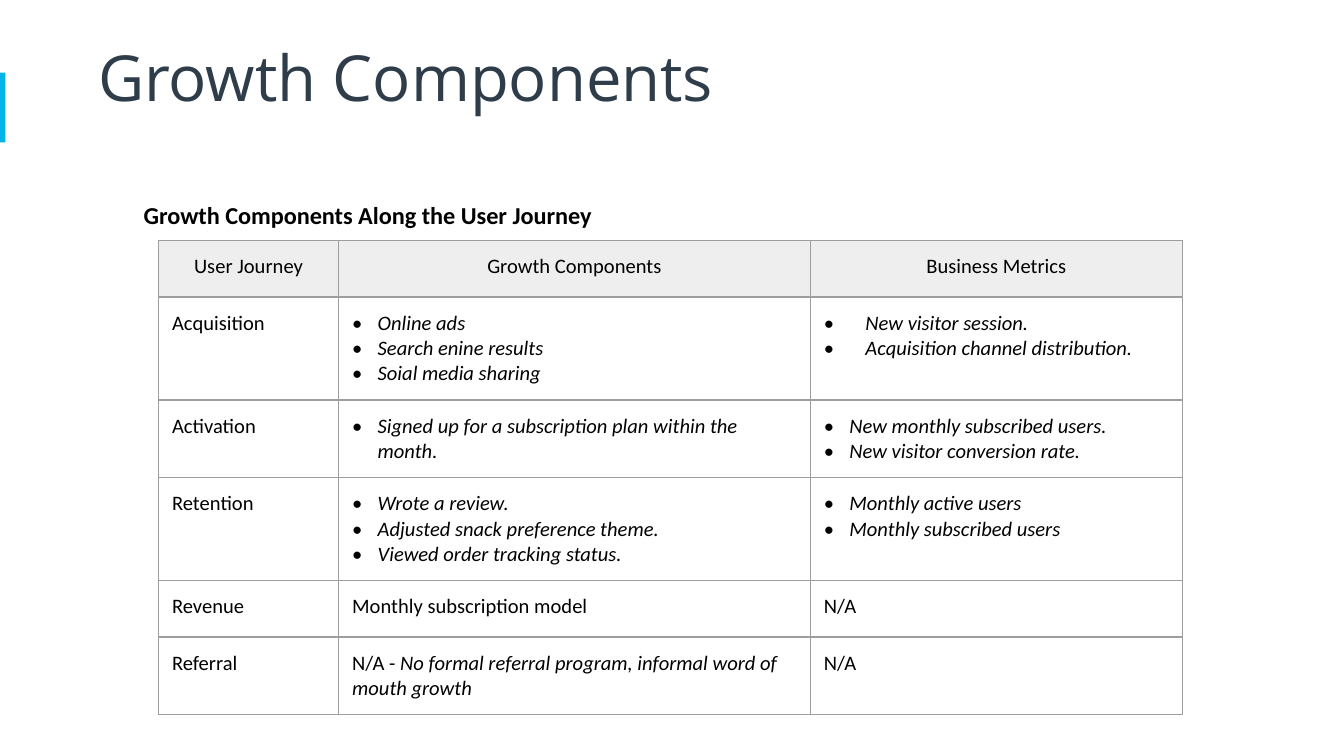
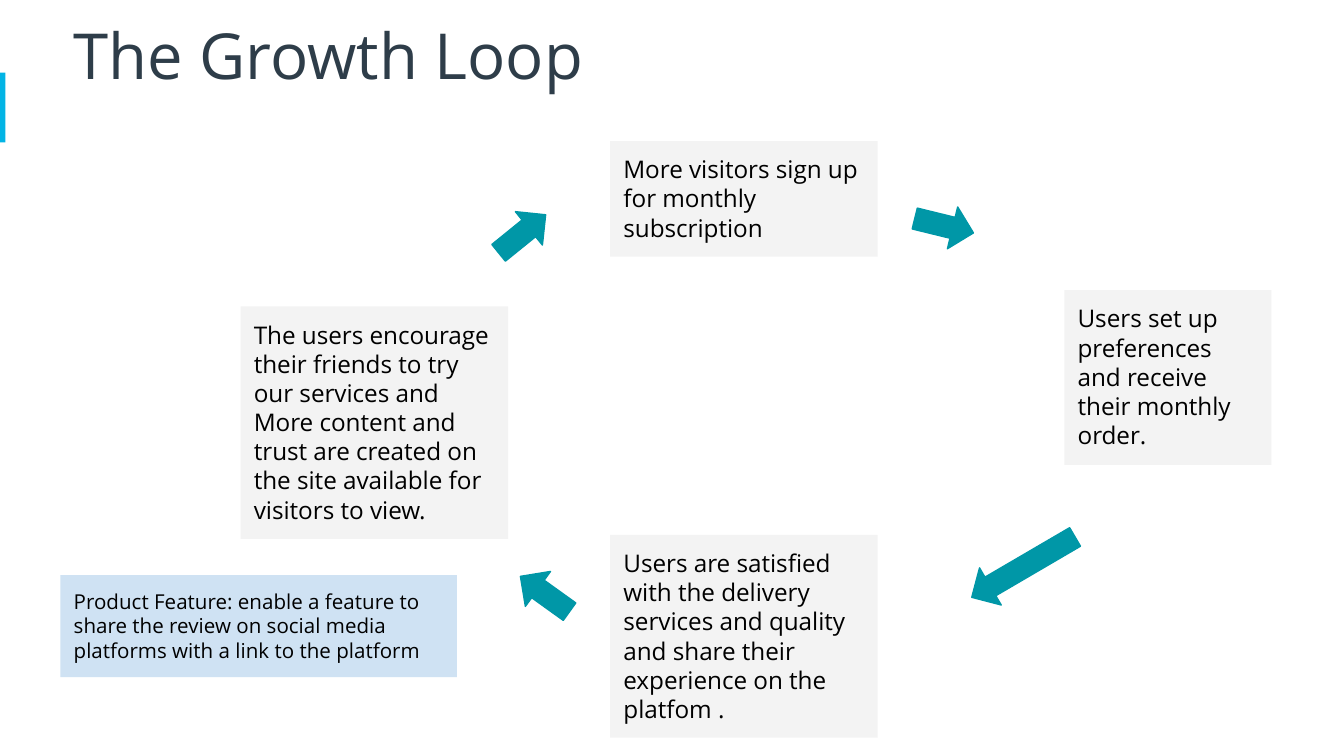
"""Builds two slides on growth: a user-journey table and a growth loop."""
from dataclasses import dataclass

from lxml import etree
from pptx import Presentation
from pptx import util as u
from pptx.dml.color import RGBColor
from pptx.enum import shapes, text
from pptx.oxml import ns


@dataclass(frozen=True)
class Theme:
    accent: str = "02B4E5"
    heading: str = "2E3D49"
    ink: str = "000000"
    arrow: str = "0097A7"
    step: str = "F3F3F3"
    feature: str = "CFE2F3"
    header: str = "EEEEEE"
    grid: str = "9E9E9E"
    sans: str = "Open Sans"
    table: str = "Calibri"
    title_size: int = 34
    body_size: int = 13
    small_size: int = 11
    inset: float = 0.1
    border: float = 0.75


@dataclass(frozen=True)
class Bullets:
    items: tuple
    indent: float = 0.19


THEME = Theme()
WIDTH = 10
HEIGHT = WIDTH * 9 / 16
TITLE_SIZE = (8.68, 0.63)
BAND = (0, 0.54, 0.04, 0.52)

SUBTITLE = "Growth Components Along the User Journey"
SUBTITLE_AREA = (0.97, 1.36, 7.62, 0.5)
TABLE_ORIGIN = (1.18, 1.79)
COLUMNS = (1.34, 3.51, 2.77)
ROW_HEIGHT = 0.42
HEADINGS = ("User Journey", "Growth Components", "Business Metrics")
JOURNEY = (
    ("Acquisition",
     Bullets(("Online ads", "Search enine results", "Soial media sharing")),
     Bullets(("New visitor session.", "Acquisition channel distribution."), 0.31)),
    ("Activation",
     Bullets(("Signed up for a subscription plan within the month.",)),
     Bullets(("New monthly subscribed users.", "New visitor conversion rate."))),
    ("Retention",
     Bullets(("Wrote a review.", "Adjusted snack preference theme.",
              "Viewed order tracking status.")),
     Bullets(("Monthly active users", "Monthly subscribed users"))),
    ("Revenue", "Monthly subscription model", "N/A"),
    ("Referral",
     ("N/A -", " No formal referral program, informal word of mouth growth"),
     "N/A"),
)

STEPS = (
    ("More visitors sign up for monthly subscription", (4.54, 1.05, 1.99, 0.86)),
    ("Users set up preferences and receive their monthly order.",
     (7.92, 2.16, 1.54, 1.3)),
    ("Users are satisfied with the delivery services and quality and share "
     "their experience on the platfom .", (4.54, 3.98, 1.99, 1.51)),
    ("The users encourage their friends to try our services and More content "
     "and trust are created on the site available for visitors to view.",
     (1.79, 2.28, 1.99, 1.73)),
)
FEATURE = ("Product Feature: enable a feature to share the review on social "
           "media platforms with a link to the platform", (0.45, 4.28, 2.95, 0.76))
ARROW_HEIGHT = 0.32
ARROWS = (
    (6.8, 1.52, 0.45, 13.8),
    (7.17, 4.06, 0.89, 149.7),
    (3.83, 4.26, 0.45, 215.7),
    (3.66, 1.58, 0.45, 321),
)


def inches(values):
    return [u.Inches(value) for value in values]


def style(span, size, font=THEME.sans, color=THEME.ink, bold=False, italic=False):
    span.font.size = u.Pt(size)
    span.font.name = font
    span.font.bold = bold
    span.font.italic = italic
    span.font.color.rgb = RGBColor.from_string(color)


def set_insets(holder):
    holder.margin_left = holder.margin_right = u.Inches(THEME.inset)
    holder.margin_top = holder.margin_bottom = u.Inches(THEME.inset)


def write(box, words, size, anchor=text.MSO_ANCHOR.TOP, **look):
    frame = box.text_frame
    frame.text = words
    frame.word_wrap = True
    frame.auto_size = text.MSO_AUTO_SIZE.NONE
    frame.vertical_anchor = anchor
    set_insets(frame)
    para = frame.paragraphs[0]
    para.alignment = text.PP_ALIGN.LEFT
    style(para.runs[0], size, **look)
    return para


def add_block(page, kind, area, color):
    block = page.shapes.add_shape(kind, *inches(area))
    block.shadow.inherit = False
    block.fill.solid()
    block.fill.fore_color.rgb = RGBColor.from_string(color)
    block.line.fill.background()
    return block


def add_page(deck, title, left, top):
    page = deck.slides.add_slide(deck.slide_layouts[5])
    add_block(page, shapes.MSO_SHAPE.RECTANGLE, BAND, THEME.accent)
    box = page.shapes.title
    box.left, box.top, box.width, box.height = inches((left, top, *TITLE_SIZE))
    write(box, title, THEME.title_size, text.MSO_ANCHOR.MIDDLE, color=THEME.heading)
    return page


def add_color(parent, tag, color):
    holder = etree.SubElement(parent, ns.qn(tag))
    etree.SubElement(holder, ns.qn("a:srgbClr"), val=color)


def set_bullet(para, indent):
    props = para._p.get_or_add_pPr()
    props.set("marL", str(u.Inches(indent)))
    props.set("indent", str(-u.Inches(indent)))
    add_color(props, "a:buClr", THEME.ink)
    etree.SubElement(props, ns.qn("a:buFont"), typeface=THEME.table)
    etree.SubElement(props, ns.qn("a:buChar"), char="•")


def set_borders(cell):
    props = cell._tc.get_or_add_tcPr()
    for side in ("a:lnL", "a:lnR", "a:lnT", "a:lnB"):
        line = etree.SubElement(props, ns.qn(side), w=str(u.Pt(THEME.border)))
        add_color(line, "a:solidFill", THEME.grid)


def fill_cell(cell, content, is_header):
    set_insets(cell)
    set_borders(cell)
    if is_header:
        cell.fill.solid()
        cell.fill.fore_color.rgb = RGBColor.from_string(THEME.header)
    else:
        cell.fill.background()
    bulleted = isinstance(content, Bullets)
    if bulleted:
        cell.text_frame.text = "\n".join(content.items)
    elif isinstance(content, tuple):
        for part in content:
            cell.text_frame.paragraphs[0].add_run().text = part
    else:
        cell.text_frame.text = content
    for para in cell.text_frame.paragraphs:
        para.alignment = text.PP_ALIGN.CENTER if is_header else text.PP_ALIGN.LEFT
        if bulleted:
            set_bullet(para, content.indent)
        for index, span in enumerate(para.runs):
            style(span, THEME.small_size, THEME.table, italic=bulleted or index > 0)


def build_components(deck):
    page = add_page(deck, "Growth Components", 0.63, 0.25)
    box = page.shapes.add_textbox(*inches(SUBTITLE_AREA))
    para = write(box, SUBTITLE, THEME.body_size, font=THEME.table, bold=True)
    para.line_spacing = 1.15
    para.space_after = u.Pt(16)
    rows = (HEADINGS, *JOURNEY)
    area = (*TABLE_ORIGIN, sum(COLUMNS), ROW_HEIGHT * len(rows))
    table = page.shapes.add_table(len(rows), len(COLUMNS), *inches(area)).table
    table.first_row = table.horz_banding = False
    for column, width in zip(table.columns, COLUMNS):
        column.width = u.Inches(width)
    for row, contents in enumerate(rows):
        for column, content in enumerate(contents):
            fill_cell(table.cell(row, column), content, row == 0)


def build_loop(deck):
    page = add_page(deck, "The Growth Loop", 0.45, 0.09)
    for words, area in STEPS:
        box = add_block(page, shapes.MSO_SHAPE.RECTANGLE, area, THEME.step)
        write(box, words, THEME.body_size)
    for left, top, width, angle in ARROWS:
        area = (left, top, width, ARROW_HEIGHT)
        arrow = add_block(page, shapes.MSO_SHAPE.RIGHT_ARROW, area, THEME.arrow)
        arrow.rotation = angle
        arrow.line.color.rgb = RGBColor.from_string(THEME.arrow)
        arrow.line.width = u.Pt(THEME.border)
    words, area = FEATURE
    box = add_block(page, shapes.MSO_SHAPE.RECTANGLE, area, THEME.feature)
    write(box, words, THEME.small_size)


def main():
    deck = Presentation()
    deck.slide_width, deck.slide_height = inches((WIDTH, HEIGHT))
    build_components(deck)
    build_loop(deck)
    deck.save("out.pptx")


if __name__ == "__main__":
    main()
